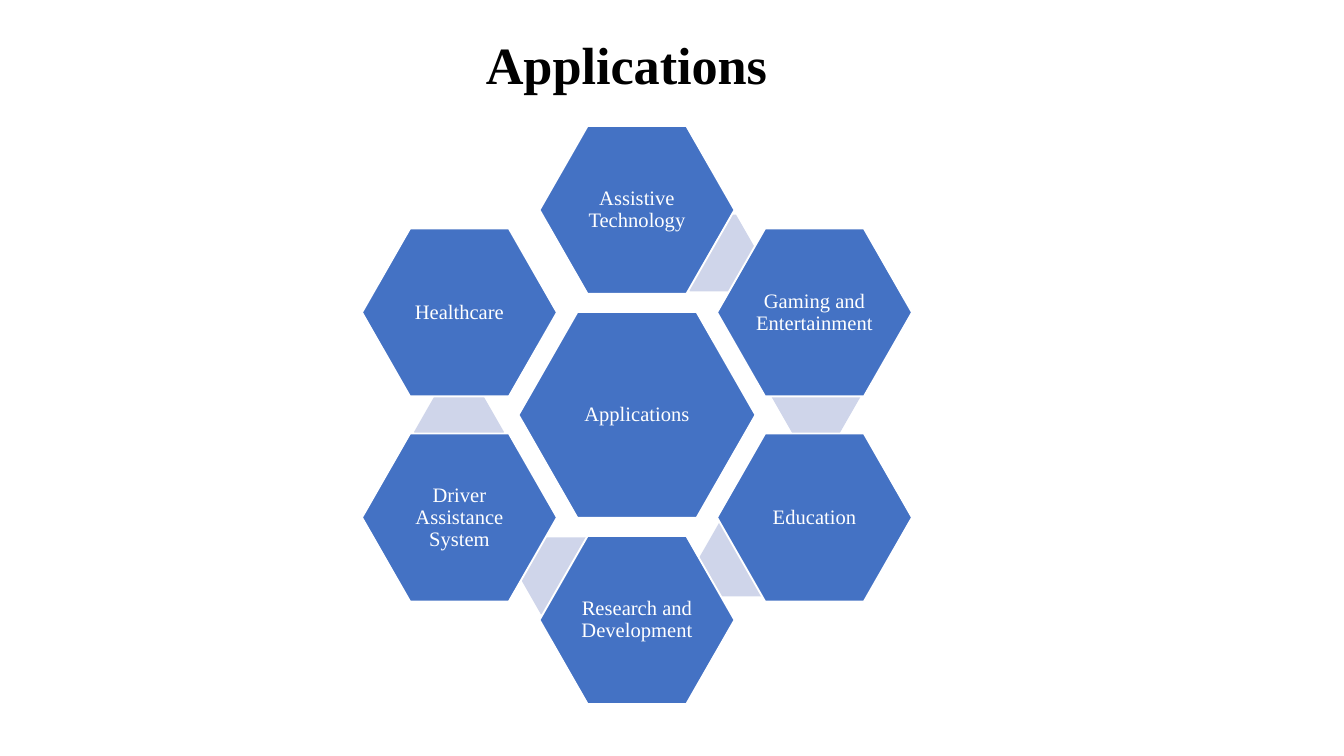
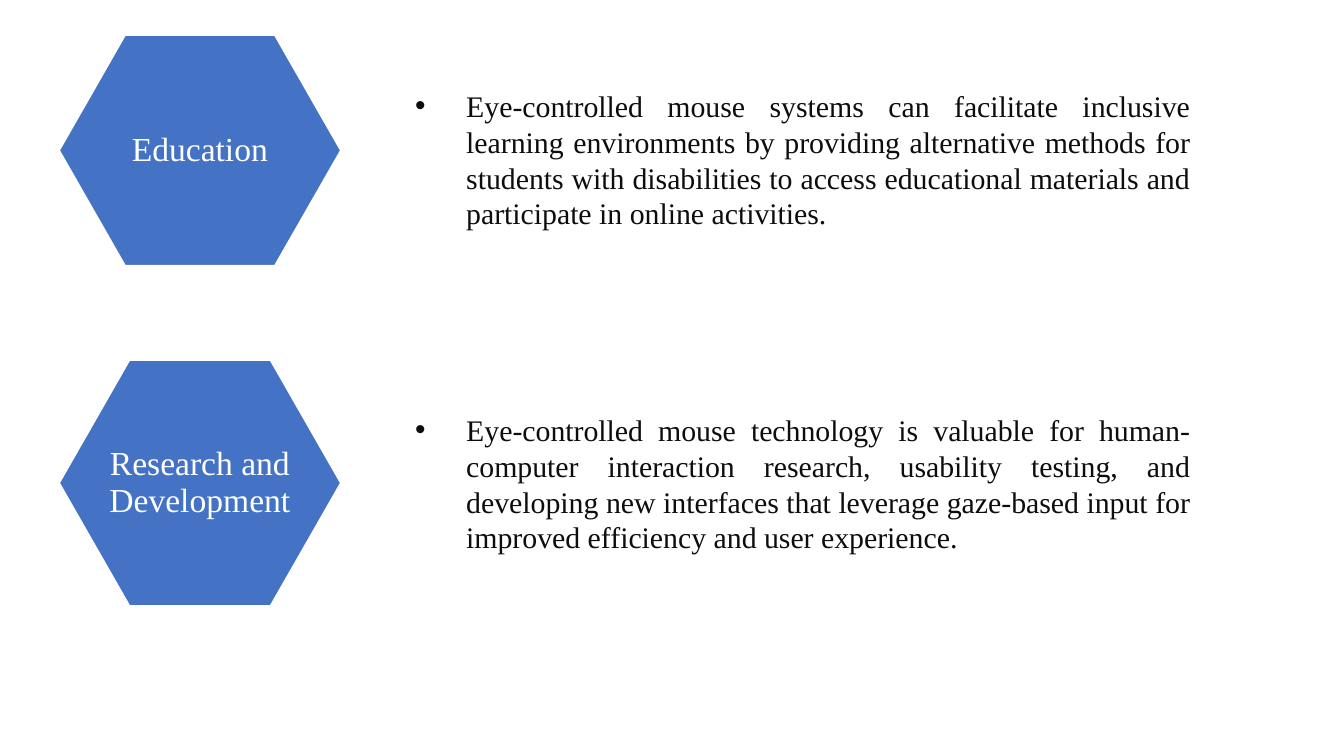
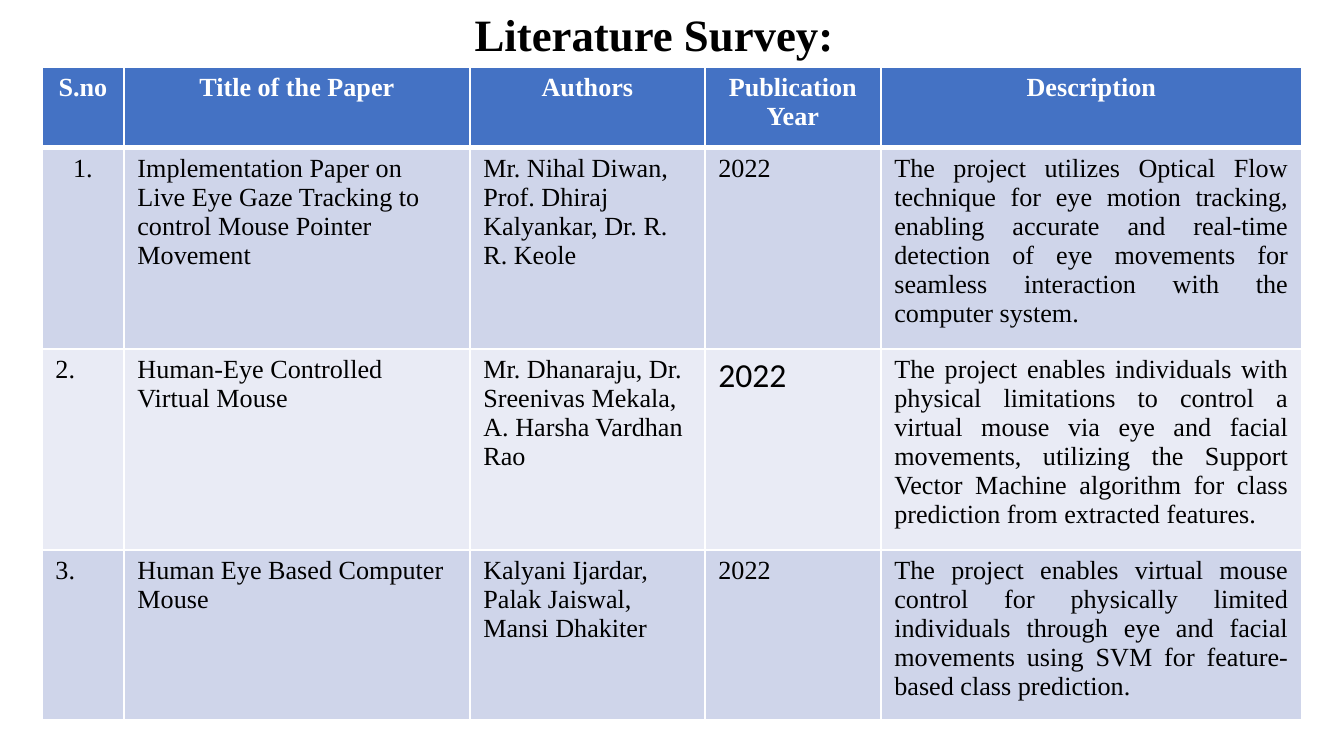
from math import cos, radians, sin

from lxml.etree import SubElement
from pptx import Presentation
from pptx.dml.color import RGBColor
from pptx.enum.shapes import MSO_SHAPE
from pptx.enum.text import MSO_ANCHOR, MSO_AUTO_SIZE, PP_ALIGN
from pptx.oxml.ns import qn
from pptx.util import Emu, Pt

# Shared style
EMU_PER_PX = 914400 / 134.4
SLIDE_SIZE = (1344, 756)
FONT = "Times New Roman"
BLUE = RGBColor(0x44, 0x72, 0xC4)
PALE_BLUE = RGBColor(0xCF, 0xD5, 0xEA)
LIGHT_BAND = RGBColor(0xE9, 0xEB, 0xF5)
WHITE = RGBColor(0xFF, 0xFF, 0xFF)
BLACK = RGBColor(0x00, 0x00, 0x00)
INK = RGBColor(0x0D, 0x0D, 0x0D)
TITLE_ONLY, BLANK = 5, 6

# Content
RING_LABELS = [
    "Assistive Technology",
    "Gaming and Entertainment",
    "Education",
    "Research and Development",
    "Driver Assistance System",
    "Healthcare",
]
# Centres of the pale links, relative to the hub; the last ring tile has none
LINK_OFFSETS = [(76, -162), (179, -19), (107, 143), (-73, 161), (-178, 17)]

TOPICS = [
    ((59, 35, 282, 231), (402, 81, 802, 199), "Education",
     "Eye-controlled mouse systems can facilitate inclusive learning environments by "
     "providing alternative methods for students with disabilities to access educational "
     "materials and participate in online activities."),
    ((59, 360, 282, 246), (402, 405, 802, 199), "Research and Development",
     "Eye-controlled mouse technology is valuable for human-computer interaction research, "
     "usability testing, and developing new interfaces that leverage gaze-based input for "
     "improved efficiency and user experience."),
]

SURVEY_COLUMNS = [82, 346, 235, 176, 421]
SURVEY_ROWS = [81, 201, 201, 170]
SURVEY = [
    ["S.no", "Title of the Paper", "Authors", "Publication Year", "Description"],
    ["1.",
     "Implementation Paper on Live Eye Gaze Tracking to control Mouse Pointer Movement",
     "Mr. Nihal Diwan, Prof. Dhiraj Kalyankar, Dr. R. R. Keole",
     "2022",
     "The project utilizes Optical Flow technique for eye motion tracking, enabling accurate "
     "and real-time detection of eye movements for seamless interaction with the computer "
     "system."],
    ["2.",
     "Human-Eye Controlled Virtual Mouse",
     "Mr. Dhanaraju, Dr. Sreenivas Mekala, A. Harsha Vardhan Rao",
     "2022",
     "The project enables individuals with physical limitations to control a virtual mouse "
     "via eye and facial movements, utilizing the Support Vector Machine algorithm for class "
     "prediction from extracted features."],
    ["3.",
     "Human Eye Based Computer Mouse",
     "Kalyani Ijardar, Palak Jaiswal, Mansi Dhakiter",
     "2022",
     "The project enables virtual mouse control for physically limited individuals through "
     "eye and facial movements using SVM for feature-based class prediction."],
]


def px(length):
    return Emu(round(length * EMU_PER_PX))


def emu_box(box):
    return [px(length) for length in box]


def centred_box(center, size):
    (x, y), (width, height) = center, size
    return x - width / 2, y - height / 2, width, height


def write(text_frame, text, size, color, align=None, bold=False, font_name=FONT):
    text_frame.text = text
    paragraph = text_frame.paragraphs[0]
    paragraph.alignment = align
    font = paragraph.runs[0].font
    font.name, font.size, font.bold = font_name, Pt(size), bold
    font.color.rgb = color
    return paragraph


def add_title(slide, box, text, size):
    title = slide.shapes.title
    title.left, title.top, title.width, title.height = emu_box(box)
    text_frame = title.text_frame
    text_frame.vertical_anchor = MSO_ANCHOR.TOP
    text_frame.auto_size = MSO_AUTO_SIZE.NONE
    write(text_frame, text, size, BLACK, PP_ALIGN.CENTER, bold=True)


def add_hexagon(slide, box, fill):
    shape = slide.shapes.add_shape(MSO_SHAPE.HEXAGON, *emu_box(box))
    shape.adjustments[0] = 0.286
    shape.shadow.inherit = False
    shape.fill.solid()
    shape.fill.fore_color.rgb = fill
    shape.line.fill.background()
    return shape


def add_tile(slide, box, text, size):
    tile = add_hexagon(slide, box, BLUE)
    tile.line.color.rgb = WHITE
    tile.line.width = Pt(1)
    text_frame = tile.text_frame
    text_frame.word_wrap = True
    text_frame.vertical_anchor = MSO_ANCHOR.MIDDLE
    text_frame.margin_left = text_frame.margin_right = px(2)
    text_frame.margin_top = text_frame.margin_bottom = px(2)
    write(text_frame, text, size, WHITE, PP_ALIGN.CENTER).line_spacing = 0.9


def add_bullet(slide, box, text):
    text_frame = slide.shapes.add_textbox(*emu_box(box)).text_frame
    text_frame.word_wrap = True
    paragraph = write(text_frame, text, 16, INK, PP_ALIGN.JUSTIFY)
    properties = paragraph._p.get_or_add_pPr()
    properties.set("marL", str(px(51)))
    properties.set("indent", str(px(-51)))
    SubElement(properties, qn("a:buFont"), typeface="Arial")
    SubElement(properties, qn("a:buChar"), char="•")


def add_hexagon_ring(slide, center, radius):
    """Hub with six tiles every 60 degrees, clockwise from the top."""
    center_x, center_y = center
    add_tile(slide, centred_box(center, (237, 206)), "Applications", 11)
    for index, label in enumerate(RING_LABELS):
        if index < len(LINK_OFFSETS):
            offset_x, offset_y = LINK_OFFSETS[index]
            link_center = (center_x + offset_x, center_y + offset_y)
            add_hexagon(slide, centred_box(link_center, (90, 77)), PALE_BLUE)
        angle = radians(60 * index)
        tile_center = (center_x + radius * sin(angle), center_y - radius * cos(angle))
        add_tile(slide, centred_box(tile_center, (195, 168)), label, 11)


def style_cell(cell, fill, bottom_width):
    properties = cell._tc.get_or_add_tcPr()
    for side, width in (("L", 1), ("R", 1), ("T", 1), ("B", bottom_width)):
        line = SubElement(properties, qn(f"a:ln{side}"), w=str(Pt(width)))
        color = SubElement(SubElement(line, qn("a:solidFill")), qn("a:srgbClr"))
        color.set("val", str(WHITE))
    cell.fill.solid()
    cell.fill.fore_color.rgb = fill


def add_survey_table(slide, left, top):
    box = (left, top, sum(SURVEY_COLUMNS), sum(SURVEY_ROWS))
    table = slide.shapes.add_table(len(SURVEY_ROWS), len(SURVEY_COLUMNS), *emu_box(box)).table
    for column, width in zip(table.columns, SURVEY_COLUMNS):
        column.width = px(width)
    for row, height in zip(table.rows, SURVEY_ROWS):
        row.height = px(height)

    for row_index, texts in enumerate(SURVEY):
        header = row_index == 0
        fill = BLUE if header else (LIGHT_BAND, PALE_BLUE)[row_index % 2]
        for column_index, text in enumerate(texts):
            cell = table.cell(row_index, column_index)
            style_cell(cell, fill, 3 if header else 1)
            if header or (row_index, column_index) == (1, 0):
                align = PP_ALIGN.CENTER
            else:
                align = PP_ALIGN.JUSTIFY if column_index == 4 else PP_ALIGN.LEFT
            # The second paper's year has its own font
            size, name = (18, "Calibri") if (row_index, column_index) == (2, 3) else (14, FONT)
            write(cell.text_frame, text, size, WHITE if header else BLACK, align, header, name)


def build_applications(slide):
    add_hexagon_ring(slide, (637, 415), 205)
    add_title(slide, (296, 26, 661, 77), "Applications", 28)


def build_topics(slide):
    for tile_box, text_box, label, description in TOPICS:
        add_tile(slide, tile_box, label, 18)
        add_bullet(slide, text_box, description)


def build_survey(slide):
    add_title(slide, (23, 0, 1262, 67), "Literature Survey:", 24)
    add_survey_table(slide, 42, 67)


def main():
    presentation = Presentation()
    presentation.slide_width, presentation.slide_height = emu_box(SLIDE_SIZE)
    for layout, build in (
        (TITLE_ONLY, build_applications),
        (BLANK, build_topics),
        (TITLE_ONLY, build_survey),
    ):
        build(presentation.slides.add_slide(presentation.slide_layouts[layout]))
    presentation.save("out.pptx")


if __name__ == "__main__":
    main()
